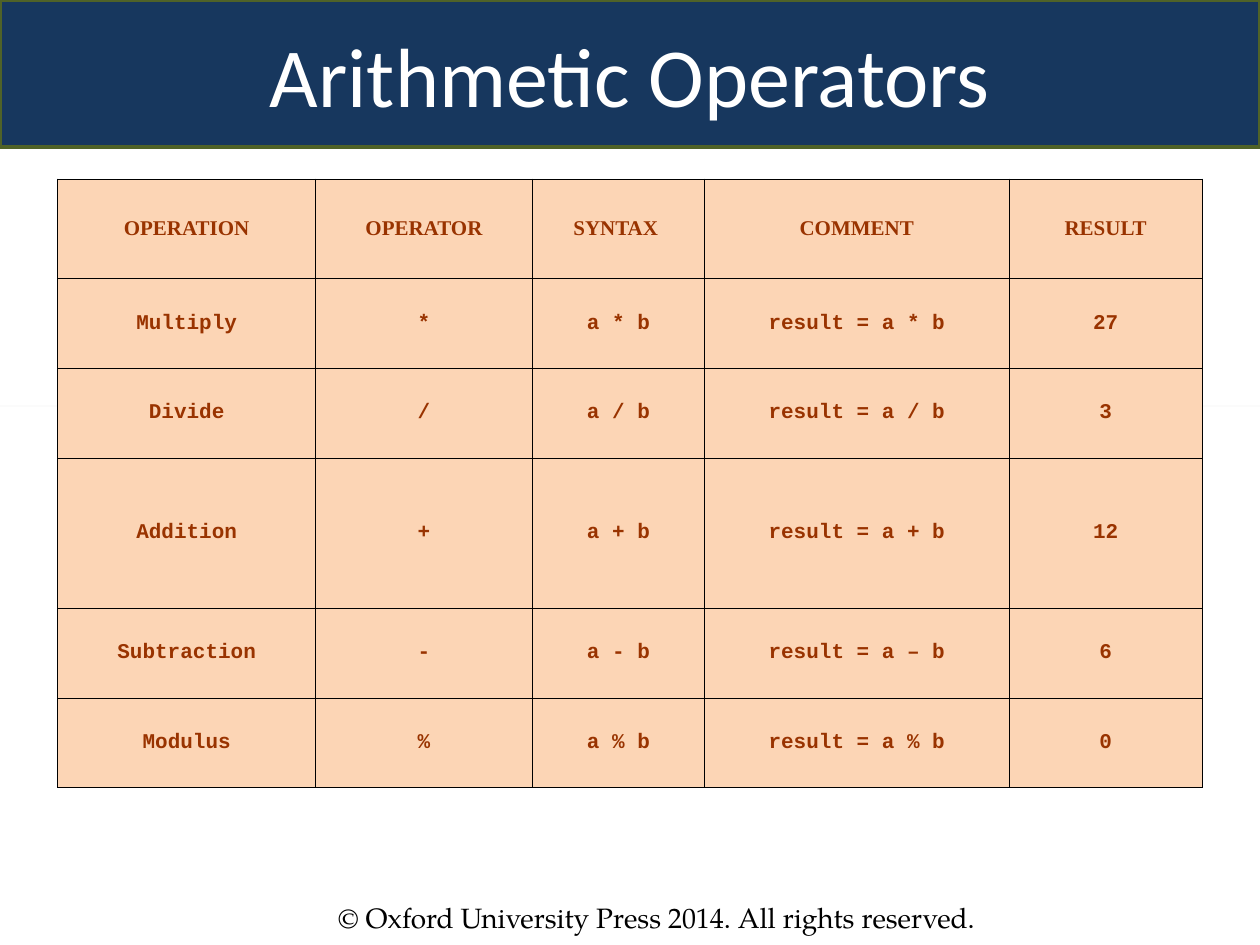
from dataclasses import dataclass

from lxml import etree
from pptx import Presentation
from pptx import util as u
from pptx.dml import color
from pptx.enum import shapes, text
from pptx.oxml import ns

Pt = u.Pt
RGB = color.RGBColor.from_string


@dataclass(frozen=True)
class Theme:
    banner: str = "17375E"
    banner_line: str = "4F6228"
    banner_text: str = "FFFFFF"
    hairline: str = "E6E6E6"
    cell: str = "FCD5B5"
    cell_text: str = "993300"
    border: str = "000000"
    footer_text: str = "000000"
    title_size: float = 48
    cell_size: float = 12
    footer_size: float = 16
    banner_line_width: float = 2
    border_width: float = 0.34
    title_font: str = "Calibri"
    header_font: str = "Times New Roman"
    code_font: str = "Courier New"
    footer_font: str = "TeX Gyre Pagella"


THEME = Theme()

HEADER = ["OPERATION", "OPERATOR", "SYNTAX ", "COMMENT", "RESULT"]
OPERATIONS = [
    ["Multiply", "*", "a * b", "result = a * b", "27"],
    ["Divide", "/", "a / b", "result = a / b", "3"],
    ["Addition", "+", "a + b", "result = a + b", "12"],
    ["Subtraction", "-", "a - b", "result = a – b", "6"],
    ["Modulus", "%", "a % b", "result = a % b", "0"],
]
COLUMN_SHARES = [258, 217, 172, 305, 193]
ROW_SHARES = [10, 9, 9, 15, 9, 9]


def points(box):
    return [Pt(side) for side in box]


def style_text(frame, words, font, size, ink, align, bold=False):
    frame.text = words
    para = frame.paragraphs[0]
    para.alignment = align
    for span in para.runs:
        span.font.name = font
        span.font.size = Pt(size)
        span.font.bold = bold
        span.font.color.rgb = RGB(ink)


def add_banner(page, box, words):
    title = page.shapes.title
    title.left, title.top, title.width, title.height = points(box)
    title.fill.solid()
    title.fill.fore_color.rgb = RGB(THEME.banner)
    title.line.color.rgb = RGB(THEME.banner_line)
    title.line.width = Pt(THEME.banner_line_width)
    frame = title.text_frame
    frame.auto_size = text.MSO_AUTO_SIZE.NONE
    frame.vertical_anchor = text.MSO_ANCHOR.MIDDLE
    style_text(frame, words, THEME.title_font, THEME.title_size,
               THEME.banner_text, text.PP_ALIGN.CENTER)


def add_hairline(page, box):
    """Draw the faint rule that shows in the margins beside the table."""
    rule = page.shapes.add_shape(shapes.MSO_SHAPE.RECTANGLE, *points(box))
    rule.shadow.inherit = False
    rule.fill.solid()
    rule.fill.fore_color.rgb = RGB(THEME.hairline)
    rule.line.fill.background()


def add_borders(cell):
    properties = cell._tc.get_or_add_tcPr()
    for side in ("a:lnL", "a:lnR", "a:lnT", "a:lnB"):
        line = etree.SubElement(properties, ns.qn(side),
                                w=str(int(Pt(THEME.border_width))))
        fill = etree.SubElement(line, ns.qn("a:solidFill"))
        etree.SubElement(fill, ns.qn("a:srgbClr"), val=THEME.border)


def add_operator_table(page, box, rows):
    width, height = box[2:]
    table = page.shapes.add_table(len(rows), len(rows[0]), *points(box)).table
    table.horz_banding = False
    for column, share in zip(table.columns, COLUMN_SHARES):
        column.width = Pt(width * share / sum(COLUMN_SHARES))
    for row, share in zip(table.rows, ROW_SHARES):
        row.height = Pt(height * share / sum(ROW_SHARES))
    for row_index, row in enumerate(rows):
        font = THEME.code_font if row_index else THEME.header_font
        for column_index, words in enumerate(row):
            cell = table.cell(row_index, column_index)
            add_borders(cell)
            cell.fill.solid()
            cell.fill.fore_color.rgb = RGB(THEME.cell)
            cell.vertical_anchor = text.MSO_ANCHOR.MIDDLE
            style_text(cell.text_frame, words, font, THEME.cell_size,
                       THEME.cell_text, text.PP_ALIGN.CENTER, bold=True)


def add_footer(page, box, words):
    footer = page.shapes.add_textbox(*points(box))
    footer.text_frame.word_wrap = True
    style_text(footer.text_frame, words, THEME.footer_font, THEME.footer_size,
               THEME.footer_text, text.PP_ALIGN.LEFT)


def main():
    deck = Presentation()
    deck.slide_width, deck.slide_height = Pt(720), Pt(540)
    page = deck.slides.add_slide(deck.slide_layouts.get_by_name("Title Only"))
    add_banner(page, (0, 0, 720, 84), "Arithmetic Operators")
    add_hairline(page, (0, 232, 720, 0.1))
    add_operator_table(page, (33, 102.2, 654, 348), [HEADER] + OPERATIONS)
    add_footer(page, (186, 511, 426, 26.5),
               "© Oxford University Press 2014. All rights reserved.")
    deck.save("out.pptx")


if __name__ == "__main__":
    main()
